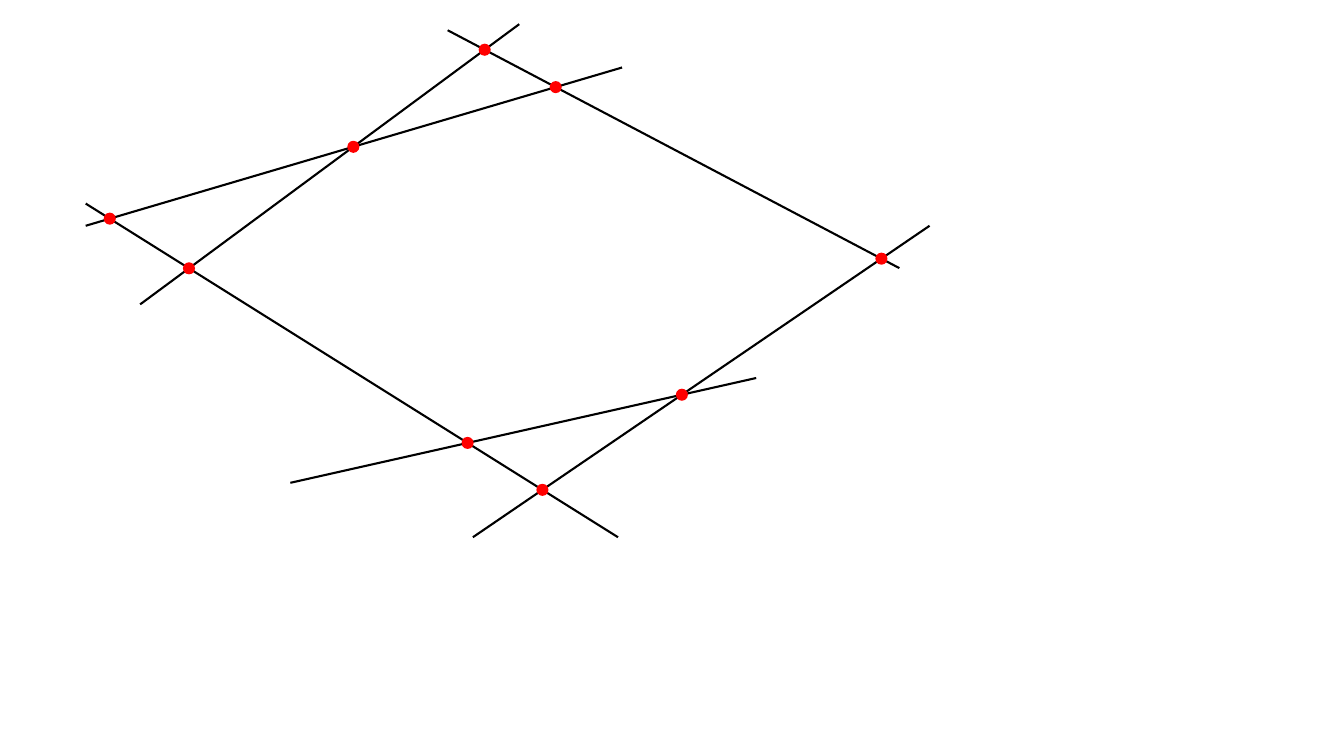
from dataclasses import dataclass

from lxml.etree import SubElement
from pptx import Presentation
from pptx.dml.color import RGBColor
from pptx.enum.shapes import MSO_CONNECTOR as Connector, MSO_SHAPE as Shape
from pptx.oxml.ns import qn
from pptx.util import Inches, Pt


@dataclass(frozen=True)
class Theme:
    line_color: RGBColor = RGBColor(0, 0, 0)
    dot_color: RGBColor = RGBColor(255, 0, 0)
    line_width: float = 1.5
    dot_size: float = 0.12


THEME = Theme()

# Straight lines as (start, end), in inches
LINES = {
    "upper left": ((5.15, 0.24), (1.39, 3.02)),
    "upper cut": ((6.17, 0.67), (0.85, 2.24)),
    "upper right": ((8.92, 2.66), (4.44, 0.3)),
    "lower right": ((9.22, 2.24), (4.69, 5.33)),
    "lower cut": ((7.5, 3.75), (2.88, 4.79)),
    "lower left": ((6.13, 5.33), (0.85, 2.02)),
}

# Pairs of lines whose crossing carries a dot
CROSSINGS = [
    ("upper left", "upper cut"),
    ("upper cut", "upper right"),
    ("upper right", "lower right"),
    ("lower right", "lower cut"),
    ("lower cut", "lower left"),
    ("lower left", "upper left"),
    ("upper left", "upper right"),
    ("lower right", "lower left"),
    ("upper cut", "lower left"),
]


def intersection(first, second):
    """Return the point where two lines cross."""
    (x1, y1), (x2, y2) = first
    (x3, y3), (x4, y4) = second
    dx1, dy1 = x2 - x1, y2 - y1
    dx2, dy2 = x4 - x3, y4 - y3
    share = ((x3 - x1) * dy2 - (y3 - y1) * dx2) / (dx1 * dy2 - dy1 * dx2)
    return x1 + share * dx1, y1 + share * dy1


def add_line(slide, start, end):
    points = [Inches(value) for value in (*start, *end)]
    connector = slide.shapes.add_connector(Connector.STRAIGHT, *points)
    connector.line.color.rgb = THEME.line_color
    connector.line.width = Pt(THEME.line_width)
    # An empty effect list removes the shadow
    SubElement(connector.element.spPr, qn("a:effectLst"))


def add_dot(slide, center):
    size = Inches(THEME.dot_size)
    left, top = (Inches(value - THEME.dot_size / 2) for value in center)
    dot = slide.shapes.add_shape(Shape.OVAL, left, top, size, size)
    dot.shadow.inherit = False
    dot.fill.solid()
    dot.fill.fore_color.rgb = THEME.dot_color
    dot.line.fill.background()


def main():
    presentation = Presentation()
    presentation.slide_width = Inches(13.33)
    presentation.slide_height = Inches(7.5)
    slide = presentation.slides.add_slide(presentation.slide_layouts[6])

    # Lines first, so that the dots lie on top
    for start, end in LINES.values():
        add_line(slide, start, end)

    # Dots at the crossings
    for first, second in CROSSINGS:
        add_dot(slide, intersection(LINES[first], LINES[second]))

    presentation.save("out.pptx")


main()
